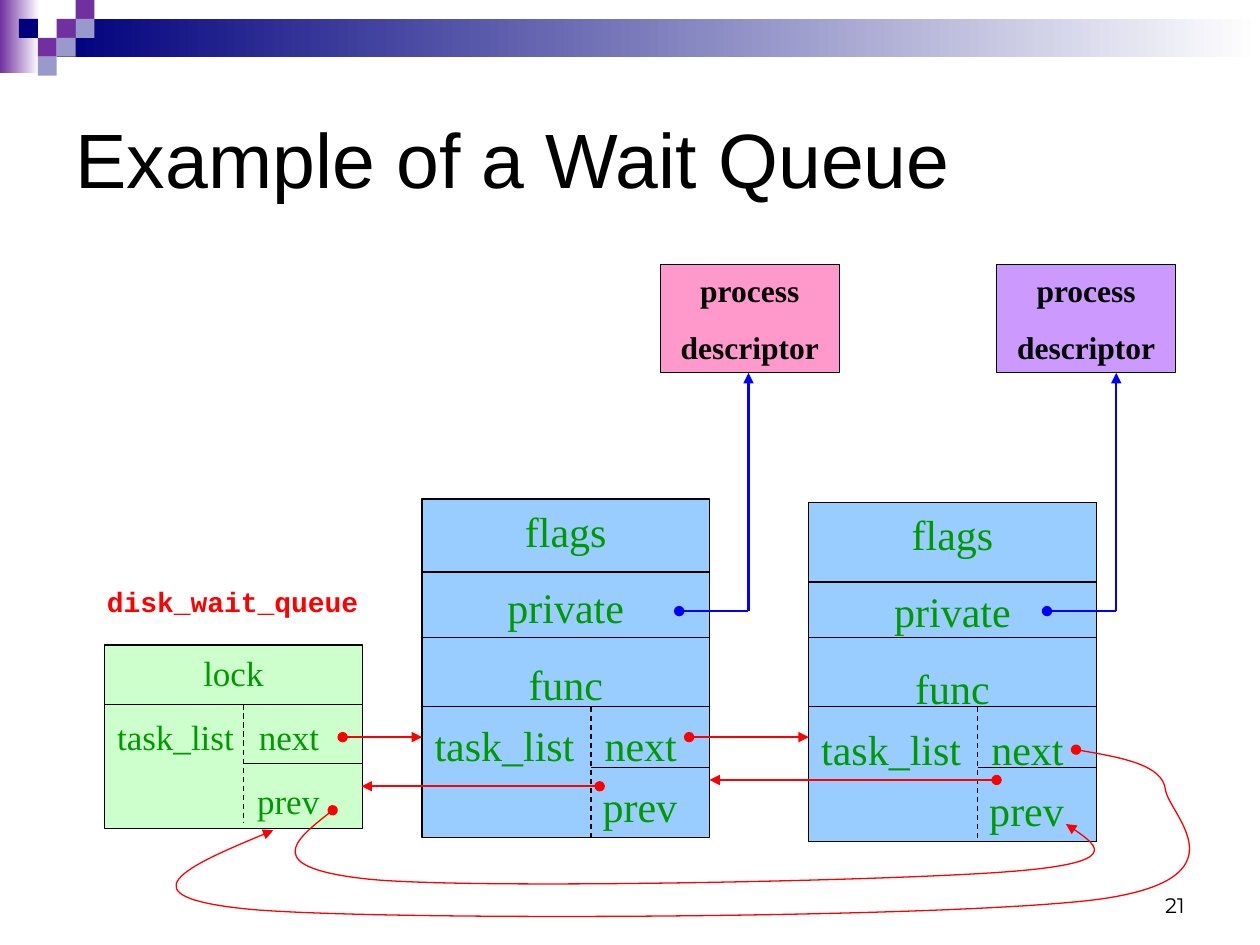
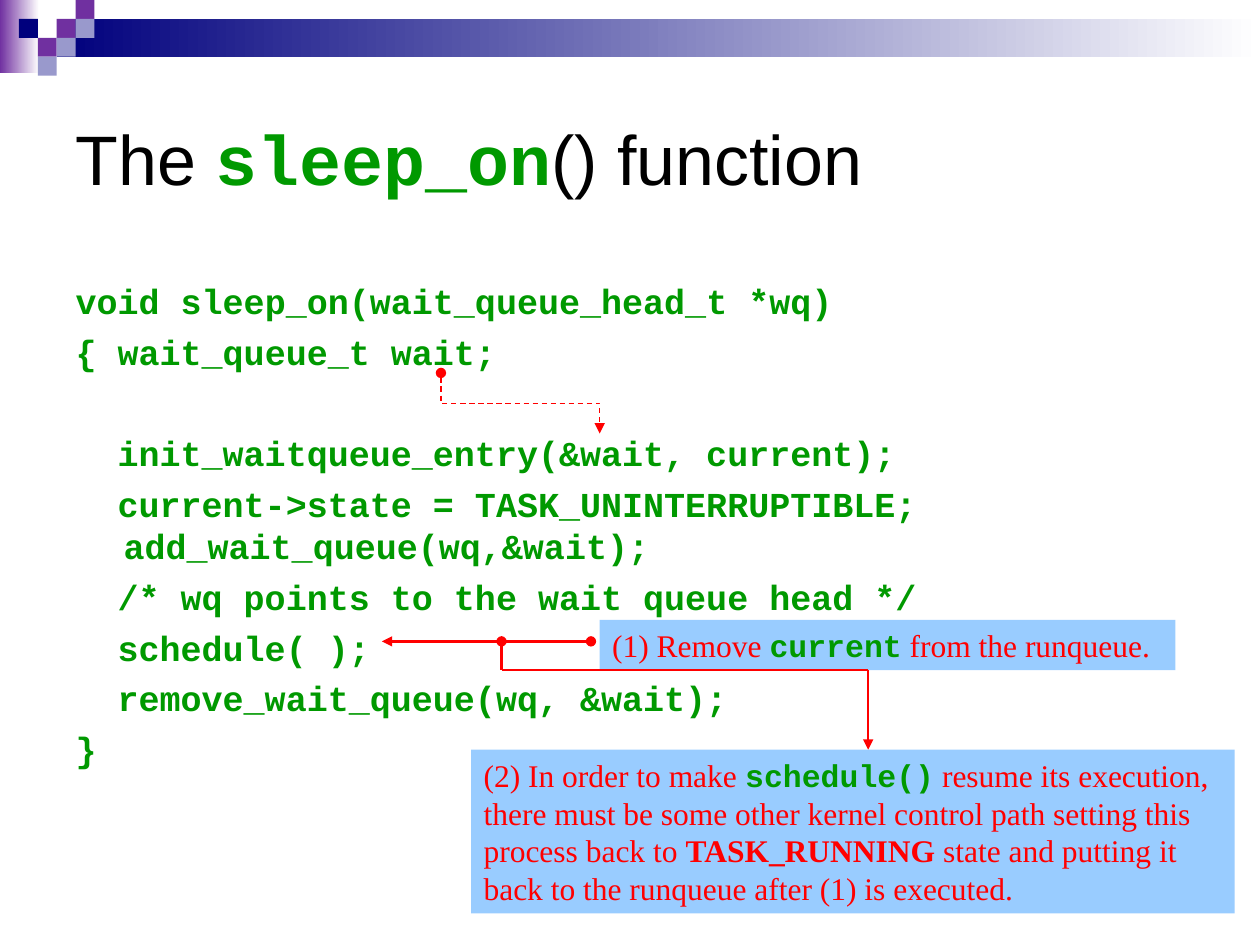
from dataclasses import dataclass

from lxml import etree
from pptx import Presentation
from pptx.dml import color
from pptx.enum import dml, shapes, text
from pptx.oxml import ns
from pptx.util import Pt


@dataclass(frozen=True)
class Theme:
    # Colours
    black: str = "000000"
    white: str = "FFFFFF"
    navy: str = "00007D"
    purple: str = "7030A0"
    lavender: str = "9999CC"
    red: str = "FF0000"
    blue: str = "0000FF"
    code: str = "009900"
    sky: str = "99CCFF"
    mint: str = "CCFFCC"
    pink: str = "FF99CC"
    violet: str = "CC99FF"
    # Fonts
    sans: str = "Arial"
    serif: str = "Times New Roman"
    mono: str = "Courier New"
    number: str = "Montserrat"
    # Type sizes and line height
    title: int = 44
    code_title: int = 40
    field: int = 24
    code_body: int = 20
    note: int = 18
    label: int = 16
    footer: int = 12
    leading: float = 1.2
    # Line widths
    thin: float = 0.75
    arrow: float = 1.25
    thick: float = 1.5


T = Theme()
KEYWORD = dict(font=T.mono, ink=T.code, bold=True)


def rgb(value):
    return color.RGBColor.from_string(value)


def child(parent, tag, **attributes):
    return etree.SubElement(parent, ns.qn(tag), attributes)


def write(frame, content, size, font=T.sans, ink=T.black, bold=False,
          align=text.PP_ALIGN.LEFT, before=0, leading=T.leading, left=0,
          hang=0):
    """Add a paragraph; content is a string or a list of (string, format)."""
    paragraph = frame.paragraphs[0]
    if paragraph.runs:
        paragraph = frame.add_paragraph()
    paragraph.alignment = align
    paragraph.space_before = Pt(before)
    if leading:
        paragraph.line_spacing = Pt(leading * size)
    properties = paragraph._p.get_or_add_pPr()
    properties.set("marL", str(Pt(left)))
    properties.set("indent", str(Pt(-hang)))
    child(properties, "a:buNone")
    pieces = [(content, {})] if isinstance(content, str) else content
    for words, change in pieces:
        style = dict(font=font, ink=ink, bold=bold) | change
        run = paragraph.add_run()
        run.text = words
        run.font.size = Pt(size)
        run.font.name = style["font"]
        run.font.bold = style["bold"]
        run.font.color.rgb = rgb(style["ink"])


class Deck:
    def __init__(self):
        self.prs = Presentation()
        self.prs.slide_width, self.prs.slide_height = Pt(720), Pt(540)
        self.slide = None

    # Slide frame
    def start(self, layout):
        self.slide = self.prs.slides.add_slide(self.prs.slide_layouts[layout])
        self.band(0, 0, 22.3, 41.8, T.purple)
        self.band(32.4, 10.8, 687.6, 21.6, T.navy)
        cell = 10.8
        for column, row, fill in [
                (3, 1, T.purple), (4, 0, T.purple), (4, 1, T.lavender),
                (2, 2, T.purple), (1, 1, T.navy), (3, 2, T.lavender),
                (2, 3, T.lavender)]:
            self.box(column * cell, row * cell, cell, cell, fill)

    def page_number(self, number):
        footer = self.label(516.2, 491.8, 167.8, 36)
        footer.vertical_anchor = text.MSO_ANCHOR.BOTTOM
        write(footer, number, T.footer, font=T.number,
              align=text.PP_ALIGN.RIGHT, leading=None)

    def placeholder(self, index, left, top, width, height):
        holder = self.slide.placeholders[index]
        holder.left, holder.top = Pt(left), Pt(top)
        holder.width, holder.height = Pt(width), Pt(height)
        holder.text_frame.auto_size = text.MSO_AUTO_SIZE.NONE
        return holder.text_frame

    def title(self, content, size):
        frame = self.placeholder(0, 36, 36, 648, 108)
        frame.vertical_anchor = text.MSO_ANCHOR.MIDDLE
        write(frame, content, size, leading=None)

    # Shapes
    def box(self, left, top, width, height, fill, line=None):
        shape = self.slide.shapes.add_shape(
            shapes.MSO_SHAPE.RECTANGLE,
            Pt(left), Pt(top), Pt(width), Pt(height))
        shape.shadow.inherit = False
        shape.fill.solid()
        shape.fill.fore_color.rgb = rgb(fill)
        if line:
            self.stroke(shape, line, T.thin)
        else:
            shape.line.fill.background()
        shape.text_frame.vertical_anchor = text.MSO_ANCHOR.TOP
        return shape

    def band(self, left, top, width, height, start):
        fill = self.box(left, top, width, height, start).fill
        fill.gradient()
        fill.gradient_angle = 0
        for stop, shade, position in zip(
                fill.gradient_stops, (start, T.white), (0, 1)):
            stop.color.rgb = rgb(shade)
            stop.position = position

    def label(self, left, top, width, height):
        frame = self.slide.shapes.add_textbox(
            Pt(left), Pt(top), Pt(width), Pt(height)).text_frame
        frame.word_wrap = True
        return frame

    def note(self, left, top, width, height, content):
        frame = self.box(left, top, width, height, T.sky).text_frame
        write(frame, content, T.note, font=T.serif, ink=T.red)

    # Lines
    def stroke(self, shape, ink, width, dash=False, head=None, tail=None):
        shape.line.color.rgb = rgb(ink)
        shape.line.width = Pt(width)
        if dash:
            shape.line.dash_style = dml.MSO_LINE.DASH
        outline = shape.line._get_or_add_ln()
        if head:
            child(outline, "a:headEnd", type=head)
        if tail:
            child(outline, "a:tailEnd", type=tail)

    def line(self, x1, y1, x2, y2, ink=T.black, width=T.thin, **ends):
        connector = self.slide.shapes.add_connector(
            shapes.MSO_CONNECTOR.STRAIGHT, Pt(x1), Pt(y1), Pt(x2), Pt(y2))
        self.stroke(connector, ink, width, **ends)
        child(connector._element.spPr, "a:effectLst")

    def pointer(self, x1, y1, x2, y2, width=T.arrow):
        self.line(x1, y1, x2, y2, T.red, width, head="oval", tail="triangle")

    def trail(self, points, curved=False, dash=False):
        """Draw an open path; curved takes three points per Bezier segment."""
        start, *rest = [(Pt(x), Pt(y)) for x, y in points]
        builder = self.slide.shapes.build_freeform(*start)
        builder.add_line_segments(rest, close=False)
        shape = builder.convert_to_shape()
        shape.shadow.inherit = False
        shape.fill.background()
        self.stroke(shape, T.red, T.thin, dash, "oval", "triangle")
        if curved:
            route = shape._element.find(".//" + ns.qn("a:path"))
            steps = route.findall(ns.qn("a:lnTo"))
            for i in range(0, len(steps), 3):
                curve = child(route, "a:cubicBezTo")
                for step in steps[i:i + 3]:
                    curve.append(step[0])
                    route.remove(step)

    # Diagram parts
    def record(self, left, top, width, height, fill, size, fields, gaps,
               rules, split, split_end):
        """Box of fields whose last row is split into next and prev."""
        field_gap, list_gap = gaps
        frame = self.box(left, top, width, height, fill, T.black).text_frame
        style = dict(size=size, font=T.serif, ink=T.code)
        for field in fields:
            write(frame, field, align=text.PP_ALIGN.CENTER, before=field_gap,
                  **style)
        write(frame, "task_list", before=list_gap, **style)

        # Link fields, level with task_list
        offset = (len(fields) * T.leading * size
                  + (len(fields) - 1) * field_gap + list_gap)
        links = self.label(left, top + offset, width, height - offset)
        write(links, "next", left=4.05 * size, **style)
        write(links, "prev", left=4 * size, before=list_gap, **style)

        *full, half = rules
        for y in full:
            self.line(left, y, left + width, y)
        self.line(left + split, half, left + width, half)
        self.line(left + split, full[-1], left + split, split_end, dash=True)

    def descriptor(self, left, fill):
        frame = self.box(left, 151.2, 102.3, 61.9, fill, T.black).text_frame
        for word in ("process", "descriptor"):
            write(frame, word, T.note, font=T.serif, bold=True,
                  align=text.PP_ALIGN.CENTER, before=11.2)

    def descriptor_link(self, start, turn):
        self.line(start, 349.2, turn, 349.2, T.blue, T.arrow, head="oval")
        self.line(turn, 349.2, turn, 213.1, T.blue, T.arrow, tail="triangle")


def wait_queue(deck):
    deck.start(layout=5)
    deck.page_number("21")
    deck.title("Example of a Wait Queue", T.title)

    # Queue head
    deck.record(59.8, 368.6, 147.2, 104.8, T.mint, T.code_body, ["lock"],
                (12.5, 12.5), (402.5, 436.3), 79.2, 470.2)
    name = deck.label(54, 330.5, 170, 26.6)
    write(name, "disk_wait_queue", T.label, font=T.mono, ink=T.red, bold=True)

    # Waiting entries and their processes
    for left, top, first_rule in [(241.2, 285.1, 326.9),
                                  (462.2, 287.3, 332.6)]:
        deck.record(left, top, 164.2, 193.7, T.sky, T.field,
                    ["flags", "private", "func"], (15, 6),
                    (first_rule, 364.3, 403.9, 438.5), 96.5, 479.5)
    deck.descriptor(377.3, T.pink)
    deck.descriptor(569.5, T.violet)
    deck.descriptor_link(388.1, 427.7)
    deck.descriptor_link(598.3, 637.9)

    # List links
    deck.pointer(195.8, 421.2, 241.2, 421.2)
    deck.pointer(393.8, 421.2, 462.2, 421.2)
    deck.pointer(342.7, 449.3, 206.6, 449.3)
    deck.pointer(569.5, 445.7, 405.4, 445.7)
    deck.trail([(190.1, 463), (169.2, 479.5), (148.3, 496.1), (212.4, 502.6),
                (276.5, 508.3), (509, 503.3), (575.3, 498.2),
                (641.5, 493.2), (625.7, 481.7), (609.1, 470.9)], curved=True)
    deck.trail([(614.9, 428.4), (639.4, 432.7), (664.6, 437), (666, 451.4),
                (668.2, 465.8), (713.5, 502.6), (626.4, 514.1),
                (539.3, 524.9), (223.2, 526.3), (144.7, 519.8),
                (66.2, 512.6), (110.9, 493.2), (156.2, 474.5)], curved=True)


def sleep_on(deck):
    deck.start(layout=1)
    deck.title([("The ", {}), ("sleep_on", KEYWORD), ("() function", {})],
               T.code_title)

    # Code listing
    listing = deck.placeholder(1, 36, 156.2, 648, 306)
    outer = dict(before=5)
    inner = dict(before=5, left=27.4, hang=3.4)
    for code, layout in [
            ("void sleep_on(wait_queue_head_t *wq)", outer),
            ("{ wait_queue_t wait;", outer),
            ("init_waitqueue_entry(&wait, current);", inner | {"before": 34}),
            ("current->state = TASK_UNINTERRUPTIBLE; "
             "add_wait_queue(wq,&wait);", inner),
            ("/* wq points to the wait queue head */", inner),
            ("schedule( );", inner),
            ("remove_wait_queue(wq, &wait);", inner),
            ("}", outer)]:
        write(listing, code, T.code_body, **KEYWORD, **layout)

    # Notes
    deck.pointer(337.7, 366.5, 218.2, 366.5, T.thick)
    deck.note(342.7, 354.2, 329, 28.8, [
        ("(1) Remove ", {}), ("current", KEYWORD),
        (" from the runqueue.", {})])
    deck.line(286.6, 366.5, 286.6, 383, T.red, T.arrow, head="oval")
    deck.line(286.6, 383, 496.1, 383, T.red, T.arrow)
    deck.line(496.1, 383, 496.1, 428.4, T.red, T.arrow, tail="triangle")
    deck.note(269.3, 428.4, 436.3, 93.6, [
        ("(2) In order to make ", {}), ("schedule()", KEYWORD),
        (" resume its execution, there must be some other kernel control "
         "path setting this process back to ", {}),
        ("TASK_RUNNING", {"bold": True}),
        (" state and putting it back to the runqueue after (1) is executed.",
         {})])

    # From the declaration of wait to its use
    deck.trail([(252, 213.1), (252, 230.4), (342.7, 230.4), (342.7, 247.7)],
               dash=True)


def main():
    deck = Deck()
    wait_queue(deck)
    sleep_on(deck)
    deck.prs.save("out.pptx")


if __name__ == "__main__":
    main()
